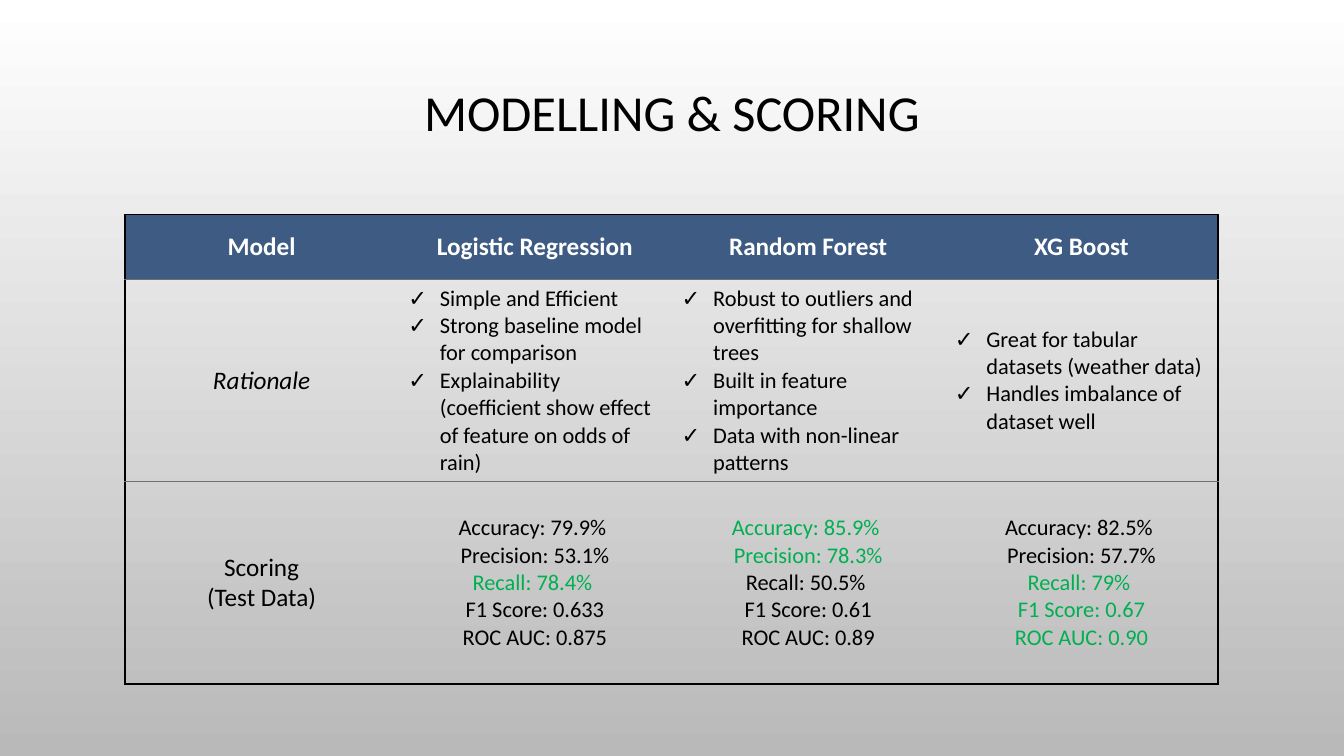
"""Builds the slide that compares three models by rationale and test scores."""
from dataclasses import dataclass

from lxml.etree import SubElement
from pptx import Presentation
from pptx.dml.color import RGBColor
from pptx.enum.text import MSO_ANCHOR, PP_ALIGN
from pptx.oxml.ns import qn
from pptx.util import Pt

TITLE = "MODELLING & SCORING"
HEADINGS = ["Model", "Logistic Regression", "Random Forest", "XG Boost"]
RATIONALE_LABEL = ["Rationale"]
RATIONALES = [
    ["Simple and Efficient", "Strong baseline model for comparison",
     "Explainability (coefficient show effect of feature on odds of rain)"],
    ["Robust to outliers and overfitting for shallow trees",
     "Built in feature importance", "Data with non-linear patterns"],
    ["Great for tabular datasets (weather data)", "Handles imbalance of dataset well"],
]
SCORING_LABEL = ["Scoring", "(Test Data)"]
SCORES = [
    ["Accuracy: 79.9% ", "Precision: 53.1%", "Recall: 78.4% ",
     "F1 Score: 0.633", "ROC AUC: 0.875"],
    ["Accuracy: 85.9% ", "Precision: 78.3%", "Recall: 50.5% ",
     "F1 Score: 0.61", "ROC AUC: 0.89"],
    ["Accuracy: 82.5% ", "Precision: 57.7%", "Recall: 79% ",
     "F1 Score: 0.67", "ROC AUC: 0.90"],
]
BEST_SCORES = [{2}, {0, 1}, {2, 3, 4}]


@dataclass(frozen=True)
class Theme:
    """Colours, font and type sizes."""
    font: str = "Calibri"
    ink: str = "000000"
    paper: str = "FFFFFF"
    shade: str = "B9B9B9"
    header: str = "3E5C83"
    rule: str = "6E7072"
    best: str = "00B050"
    title_size: int = 36
    label_size: int = 18
    body_size: int = 16


THEME = Theme()
SLIDE_SIZE = (960, 540)
TITLE_BOX = (72, 56, 816, 53)
TABLE_LEFT, TABLE_TOP, COLUMN_WIDTH = 89.3, 153.2, 195.2
ROW_HEIGHTS = [46.4, 144.5, 144.5]
BULLET_INDENT = 22.5


def write(frame, lines, size=THEME.body_size, color=THEME.ink, bold=False, italic=False,
          align=PP_ALIGN.CENTER, spacing=None, bullet=None, best=()):
    """Fill a text frame with one paragraph per line."""
    frame.word_wrap = True
    for index, line in enumerate(lines):
        paragraph = frame.add_paragraph() if index else frame.paragraphs[0]
        paragraph.alignment = align
        if spacing:
            paragraph.line_spacing = spacing
        if bullet:
            properties = paragraph._p.get_or_add_pPr()
            properties.set("marL", str(Pt(BULLET_INDENT)))
            properties.set("indent", str(-Pt(BULLET_INDENT)))
            SubElement(properties, qn("a:buFont"), typeface="Wingdings 2" if bullet == "P" else THEME.font)
            SubElement(properties, qn("a:buChar"), char=bullet)
        run = paragraph.add_run()
        run.text = line
        font = run.font
        font.name, font.size, font.bold, font.italic = THEME.font, Pt(size), bold, italic
        font.color.rgb = RGBColor.from_string(THEME.best if index in best else color)


def set_borders(cell, borders):
    """Draw the given sides of a cell and clear the others."""
    properties = cell._tc.get_or_add_tcPr()
    for side in "LRTB":
        color, width = borders.get(side, (None, 0))
        line = SubElement(properties, qn(f"a:ln{side}"), w=str(Pt(width)))
        if color:
            SubElement(SubElement(line, qn("a:solidFill")), qn("a:srgbClr"), val=color)
        else:
            SubElement(line, qn("a:noFill"))


def cell_borders(row, column):
    """Return the outer frame and the rules between rows for one cell."""
    frame, rule = (THEME.ink, 1), (THEME.rule, 0.75)
    borders = {"T": rule if row else frame,
               "B": frame if row == len(ROW_HEIGHTS) - 1 else rule}
    if column == 0:
        borders["L"] = frame
    if column == len(HEADINGS) - 1:
        borders["R"] = frame
    return borders


def paint_background(slide):
    """Shade the slide from top to bottom."""
    fill = slide.background.fill
    fill.gradient()
    fill.gradient_angle = 270
    for stop, color in zip(fill.gradient_stops, (THEME.paper, THEME.shade)):
        stop.color.rgb = RGBColor.from_string(color)


def add_title(slide):
    """Place the slide title."""
    frame = slide.shapes.add_textbox(*map(Pt, TITLE_BOX)).text_frame
    frame.vertical_anchor = MSO_ANCHOR.MIDDLE
    write(frame, [TITLE], size=THEME.title_size, spacing=0.9)


def add_comparison(slide):
    """Place the table of models."""
    label = {"size": THEME.label_size}
    heading = {**label, "color": THEME.paper, "bold": True}
    reason = {"align": PP_ALIGN.LEFT, "bullet": "✓"}
    rows = [
        [([name], heading) for name in HEADINGS],
        [(RATIONALE_LABEL, {**label, "italic": True})]
        + [(reasons, reason) for reasons in RATIONALES],
        [(SCORING_LABEL, label)]
        + [(scores, {"best": best}) for scores, best in zip(SCORES, BEST_SCORES)],
    ]
    table = slide.shapes.add_table(
        len(rows), len(HEADINGS), Pt(TABLE_LEFT), Pt(TABLE_TOP),
        Pt(COLUMN_WIDTH * len(HEADINGS)), Pt(sum(ROW_HEIGHTS))).table
    table.first_row = table.horz_banding = False
    for column in table.columns:
        column.width = Pt(COLUMN_WIDTH)
    for row, (height, contents) in enumerate(zip(ROW_HEIGHTS, rows)):
        table.rows[row].height = Pt(height)
        for column, (lines, style) in enumerate(contents):
            cell = table.cell(row, column)
            cell.vertical_anchor = MSO_ANCHOR.MIDDLE
            set_borders(cell, cell_borders(row, column))
            if row:
                cell.fill.background()
            else:
                cell.fill.solid()
                cell.fill.fore_color.rgb = RGBColor.from_string(THEME.header)
            write(cell.text_frame, lines, **style)


def main():
    """Build and save the slide."""
    presentation = Presentation()
    presentation.slide_width, presentation.slide_height = map(Pt, SLIDE_SIZE)
    slide = presentation.slides.add_slide(presentation.slide_layouts[6])
    paint_background(slide)
    add_title(slide)
    add_comparison(slide)
    presentation.save("out.pptx")


if __name__ == "__main__":
    main()
